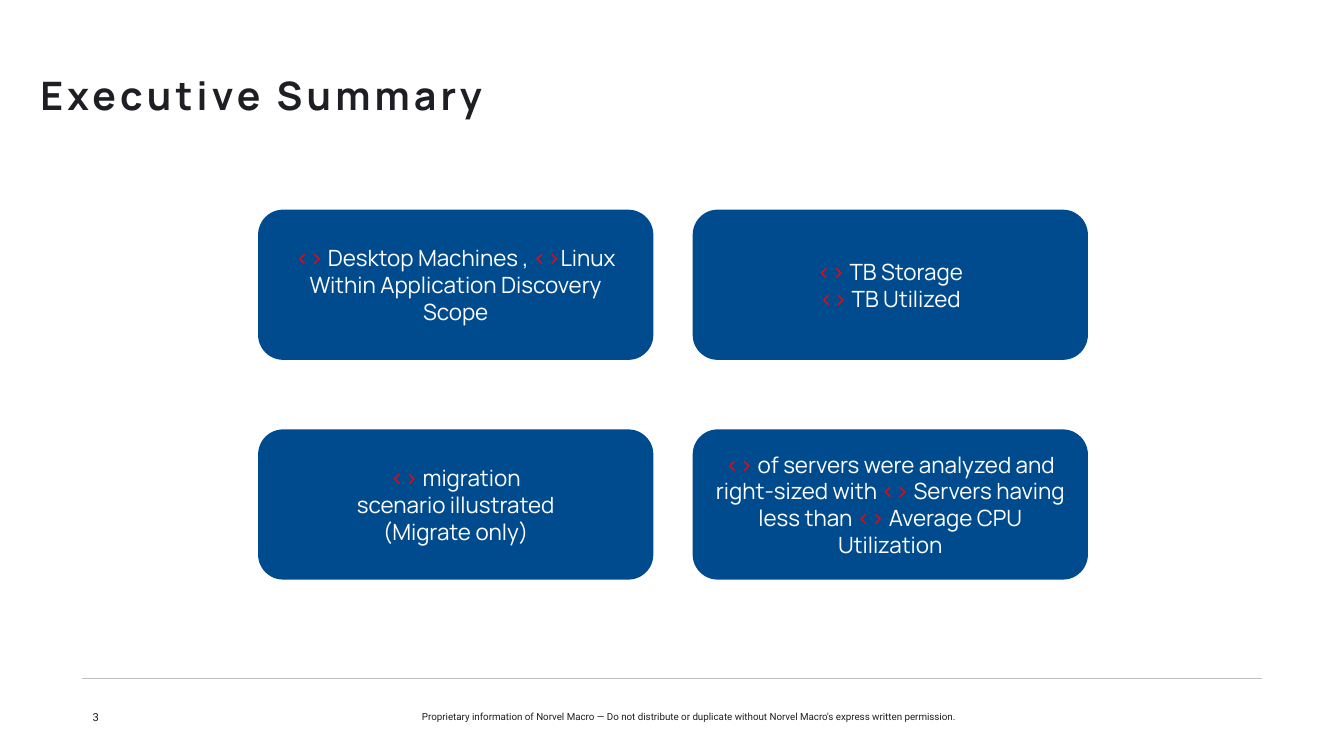
import pptx
import pptx.util
import pptx.dml.color
import pptx.enum.shapes
import pptx.enum.text
from lxml import etree
from pptx.util import Inches

# Content: cards by row; "<>" marks a value still to be filled in
TITLE = "Executive Summary"
PAGE = "3"
NOTICE = ("Proprietary information of Norvel Macro — Do not distribute or duplicate "
          "without Norvel Macro's express written permission.")
MARK = "<>"
CARDS = [
    [["<> Desktop Machines , <>Linux", "Within Application Discovery Scope"],
     ["<> TB Storage", "<> TB Utilized"]],
    [["<> migration", "scenario illustrated", "(Migrate only)"],
     ["<> of servers were analyzed and right-sized with <> Servers having "
      "less than <> Average CPU Utilization"]],
]

THEME = {
    "ink": "1E1F24", "card": "004B8E", "text": "FFFFFF", "mark": "FF0000", "rule": "BFBFBF",
    "head_font": "Manrope", "foot_font": "Roboto",
    "title": 28, "body": 16, "page": 8, "notice": 7,
}
ALIGN = pptx.enum.text.PP_ALIGN
ANCHOR = pptx.enum.text.MSO_ANCHOR
SHAPE = pptx.enum.shapes.MSO_SHAPE

# Card grid
LEFT, TOP, CARD_W, CARD_H = 2.56, 2.08, 3.92, 1.49
STEP_X, STEP_Y = 4.31, 2.18


def rgb(name):
    return pptx.dml.color.RGBColor.from_string(THEME[name])


def set_font(p, face, size, color):
    p.font.name = THEME[face]
    p.font.size = pptx.util.Pt(THEME[size])
    p.font.color.rgb = rgb(color)


def add_text(s, box, text, face, size, align, anchor, inset_top=0):
    tf = s.shapes.add_textbox(*map(Inches, box)).text_frame
    tf.word_wrap = True
    tf.margin_left = tf.margin_right = tf.margin_bottom = 0
    tf.margin_top = Inches(inset_top)
    tf.vertical_anchor = anchor
    p = tf.paragraphs[0]
    p.text = text
    p.alignment = align
    set_font(p, face, size, "ink")
    return p


def add_card(s, row, col, lines):
    sp = s.shapes.add_shape(
        SHAPE.ROUNDED_RECTANGLE, Inches(LEFT + col * STEP_X), Inches(TOP + row * STEP_Y),
        Inches(CARD_W), Inches(CARD_H))
    sp.shadow.inherit = False
    sp.fill.solid()
    sp.fill.fore_color.rgb = rgb("card")
    sp.line.fill.background()
    tf = sp.text_frame
    tf.word_wrap = True
    tf.vertical_anchor = ANCHOR.MIDDLE
    for i, line in enumerate(lines):
        p = tf.add_paragraph() if i else tf.paragraphs[0]
        p.alignment = ALIGN.CENTER
        set_font(p, "head_font", "body", "text")
        for j, part in enumerate(line.split(MARK)):
            if j:
                r = p.add_run()
                r.text = MARK
                r.font.color.rgb = rgb("mark")
            if part:
                p.add_run().text = part


def main():
    prs = pptx.Presentation()
    prs.slide_width, prs.slide_height = Inches(13.33), Inches(7.5)
    s = prs.slides.add_slide(prs.slide_layouts[6])

    # Title
    p = add_text(s, (0.4, 0.59, 11.5, 0.82), TITLE, "head_font", "title",
                 ALIGN.LEFT, ANCHOR.TOP, 0.21)
    p.line_spacing = 0.8
    p.font.bold = True
    p.runs[0].font._element.set("spc", "300")

    # Cards
    for row, cards in enumerate(CARDS):
        for col, lines in enumerate(cards):
            add_card(s, row, col, lines)

    # Footer
    rule = s.shapes.add_connector(pptx.enum.shapes.MSO_CONNECTOR.STRAIGHT,
                                  Inches(0.81), Inches(6.73), Inches(12.52), Inches(6.73))
    rule.line.color.rgb = rgb("rule")
    rule.line.width = pptx.util.Pt(0.5)
    etree.SubElement(rule._element.spPr, pptx.oxml.ns.qn("a:effectLst"))
    add_text(s, (0.6, 6.99, 0.38, 0.24), PAGE, "foot_font", "page",
             ALIGN.RIGHT, ANCHOR.MIDDLE)
    add_text(s, (4.09, 6.99, 5.48, 0.24), NOTICE, "foot_font", "notice",
             ALIGN.CENTER, ANCHOR.MIDDLE)

    prs.save("out.pptx")


if __name__ == "__main__":
    main()
